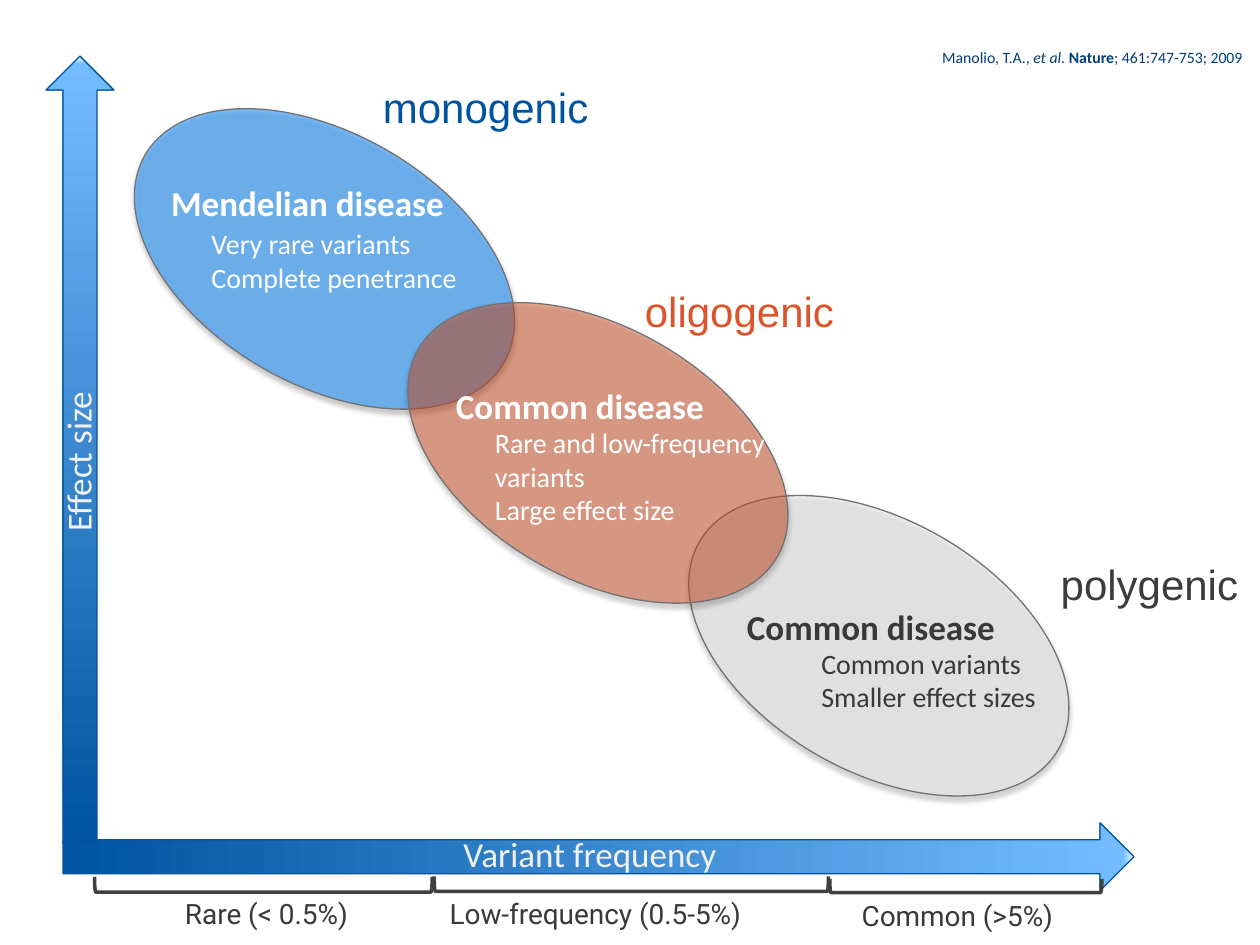
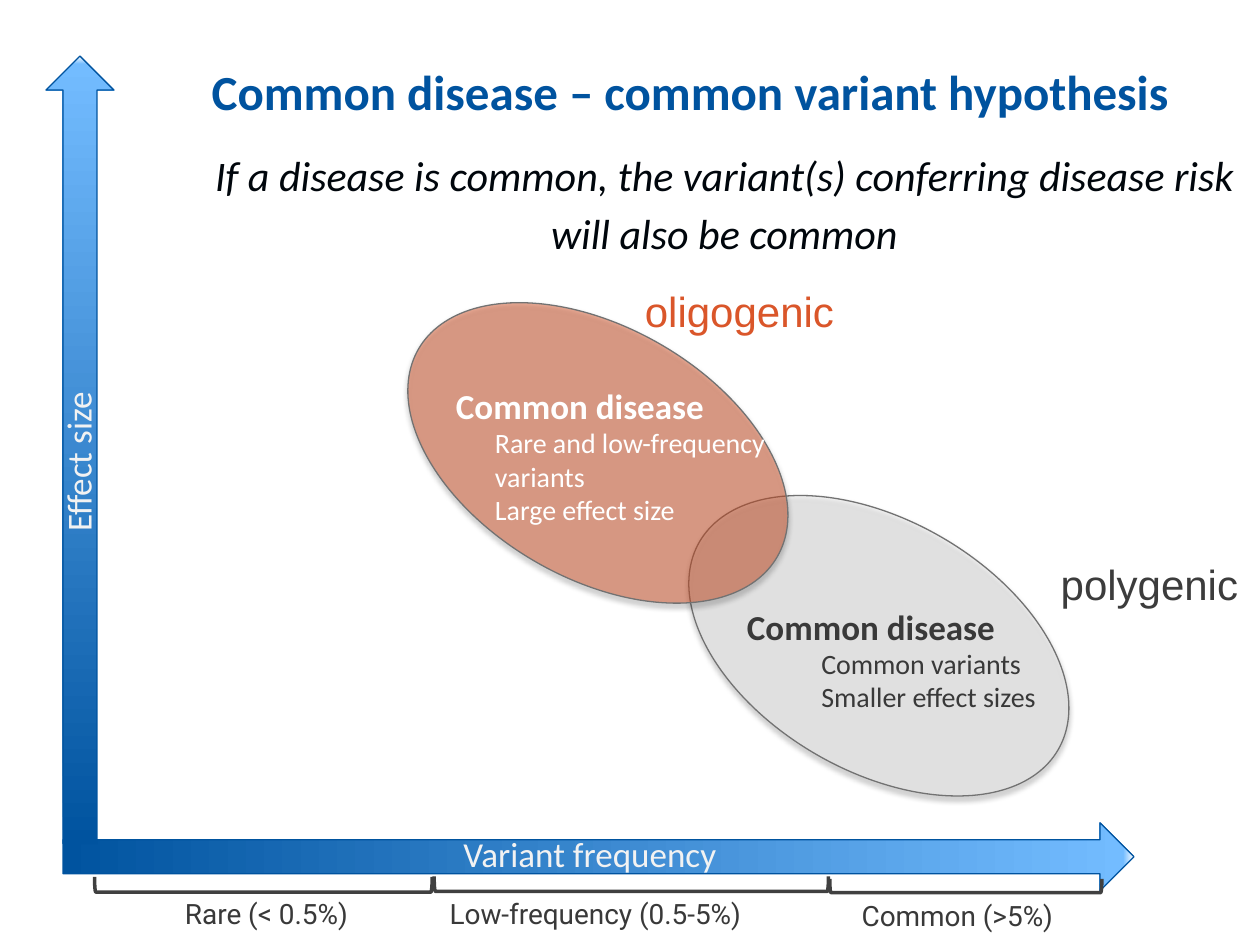
from copy import deepcopy

from lxml.etree import SubElement
from pptx import Presentation
from pptx.dml.color import RGBColor
from pptx.enum.shapes import MSO_SHAPE
from pptx.enum.text import MSO_ANCHOR, MSO_AUTO_SIZE, PP_ALIGN
from pptx.oxml.ns import qn
from pptx.util import Pt

PX = 9144
BLUE, ORANGE, WHITE, DARK = "00539F", "DA562A", "FFFFFF", "393939"
rgb = RGBColor.from_string


def add_shape(s, kind, box, rotation, line, width):
    sp = s.shapes.add_shape(kind, *[v * PX for v in box])
    sp.rotation = rotation
    sp.shadow.inherit = False
    sp.line.color.rgb = rgb(line)
    sp.line.width = Pt(width)
    return sp


def add_text(s, box, text, size, color, font="Calibri", bold=False, wrap=False):
    sp = s.shapes.add_textbox(*[v * PX for v in box])
    tf = sp.text_frame
    tf.word_wrap = wrap
    tf.text = text
    for p in tf.paragraphs:
        p.font.name = font
        p.font.size = Pt(size)
        p.font.bold = bold
        p.font.color.rgb = rgb(color)
    return sp


arrows = [
    ((50, 653, 850, 54), 0, "Variant frequency", (358, 656, 225, 44)),
    ((-249, 330, 625, 54), 270, "Effect size", (-5, 343, 134, 44)),
]
gradient = [(0, BLUE), (0.99, "73BCFF"), (1, WHITE)]

frequencies = [
    ((203, 568, 12, 268), "Rare (< 0.5%)", (137, 707, 160, 37)),
    ((495, 545, 12, 313), "Low-frequency (0.5-5%)", (347, 707, 260, 37)),
    ((761, 595, 11, 216), "Common (>5%)", (674, 708, 178, 37)),
]

mendelian = {
    "at": (93, 106), "fill": "2C9AFF", "alpha": 60, "ink": WHITE,
    "heading": ("Mendelian disease", (126, 139, 283, 44)),
    "detail": ("Very rare variants\nComplete penetrance", (158, 175, 218, 64), False),
    "label": ("monogenic", (294, 60, 185, 50), BLUE),
}
polygenic = {
    "at": (533, 413), "fill": "EFEFEF", "alpha": 48, "ink": DARK,
    "heading": ("Common disease", (583, 476, 219, 44)),
    "detail": ("Common variants Smaller effect sizes", (642, 508, 191, 91), True),
    "label": ("polygenic", (832, 438, 163, 50), "3C3C3C"),
}
oligogenic = {
    "at": (310, 260), "fill": ORANGE, "alpha": 48, "ink": WHITE,
    "heading": ("Common disease", (352, 300, 219, 44)),
    "detail": ("Rare and low-frequency variants\nLarge effect size", (383, 333, 241, 91), True),
    "label": ("oligogenic", (502, 222, 172, 50), ORANGE),
}

prs = Presentation()
prs.slide_width = 1000 * PX
prs.slide_height = 750 * PX
spectrum = prs.slides.add_slide(prs.slide_layouts[6])
hypothesis = prs.slides.add_slide(prs.slide_layouts[5])

for s, diseases in [
    (spectrum, [mendelian, polygenic, oligogenic]),
    (hypothesis, [polygenic, oligogenic]),
]:
    for box, rotation, name, name_box in arrows:
        sp = add_shape(s, MSO_SHAPE.RIGHT_ARROW, box, rotation, BLUE, 0.75)
        sp.fill.gradient()
        sp.fill.gradient_angle = 0
        stops = sp._element.spPr.find(".//" + qn("a:gsLst"))
        stops.append(deepcopy(stops[0]))
        for stop, (position, color) in zip(sp.fill.gradient_stops, gradient):
            stop.position = position
            stop.color.rgb = rgb(color)
        add_text(s, name_box, name, 20, "F2F2F2").rotation = rotation

    for box, name, name_box in frequencies:
        sp = add_shape(s, MSO_SHAPE.RIGHT_BRACKET, box, 90, "404040", 2)
        sp.fill.background()
        add_text(s, name_box, name, 16, DARK, "Roboto")

    for d in diseases:
        sp = add_shape(s, MSO_SHAPE.OVAL, (*d["at"], 329, 199), 30.1, "727272", 0.75)
        sp.fill.solid()
        sp.fill.fore_color.rgb = rgb(d["fill"])
        spPr = sp._element.spPr
        fill = spPr.find(qn("a:solidFill"))
        SubElement(fill[0], qn("a:alpha"), val=str(d["alpha"] * 1000))
        shadow = SubElement(
            spPr.find(qn("a:effectLst")), qn("a:outerShdw"),
            blurRad=str(Pt(3.1)), dist=str(Pt(1.8)), dir="5400000", rotWithShape="0",
        )
        black = SubElement(shadow, qn("a:srgbClr"), val="000000")
        SubElement(black, qn("a:alpha"), val="35000")

    for d in diseases:
        text, box = d["heading"]
        add_text(s, box, text, 20, d["ink"], bold=True)
        text, box, wrap = d["detail"]
        add_text(s, box, text, 16, d["ink"], wrap=wrap)
        text, box, color = d["label"]
        add_text(s, box, text, 24, color, "Arial")

sp = add_text(spectrum, (713, 33, 283, 25), "", 9, "003E77", wrap=True)
p = sp.text_frame.paragraphs[0]
p.alignment = PP_ALIGN.RIGHT
for text, bold, italic in [
    ("Manolio, T.A., ", False, False),
    ("et al. ", False, True),
    ("Nature", True, False),
    ("; 461:747-753; 2009", False, False),
]:
    r = p.add_run()
    r.text = text
    r.font.bold = bold
    r.font.italic = italic

title = hypothesis.shapes.title
title.left, title.top, title.width, title.height = [v * PX for v in (158, 25, 817, 95)]
tf = title.text_frame
tf.text = "Common disease – common variant hypothesis"
tf.auto_size = MSO_AUTO_SIZE.NONE
tf.vertical_anchor = MSO_ANCHOR.MIDDLE
p = tf.paragraphs[0]
p.alignment = PP_ALIGN.LEFT
p.font.name = "Calibri"
p.font.size = Pt(28)
p.font.bold = True
p.font.color.rgb = rgb(BLUE)

statement = "If a disease is common, the variant(s) conferring disease risk will also be common"
sp = add_text(hypothesis, (150, 108, 850, 85), statement, 24, "00060C", wrap=True)
p = sp.text_frame.paragraphs[0]
p.alignment = PP_ALIGN.CENTER
p.line_spacing = Pt(33)
p.font.italic = True

prs.save("out.pptx")
